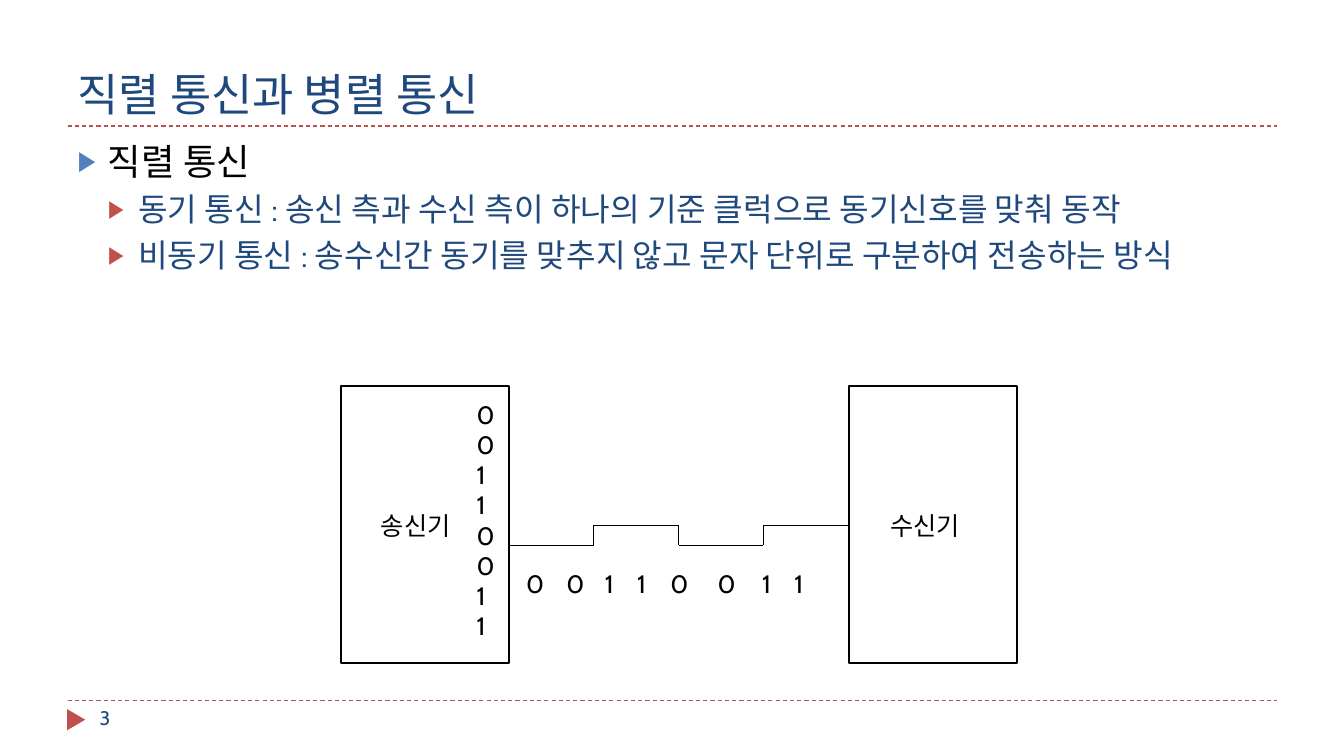
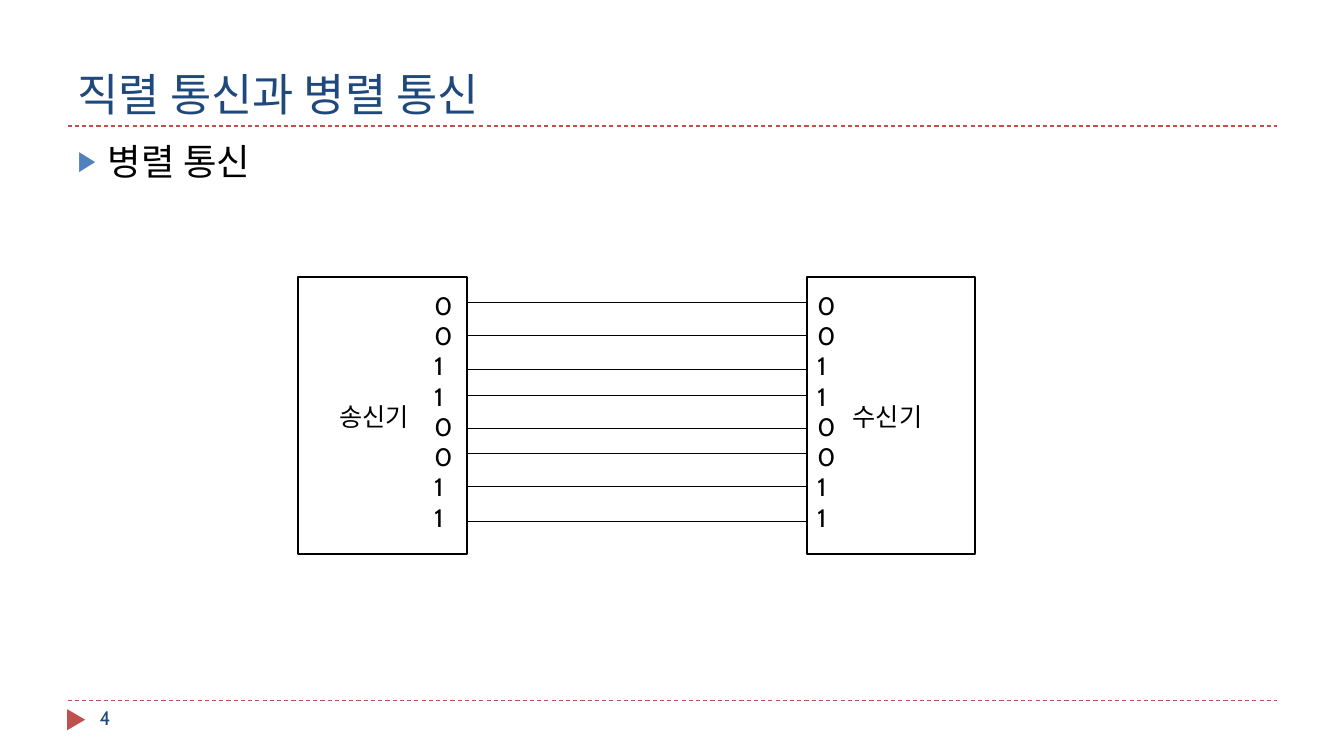
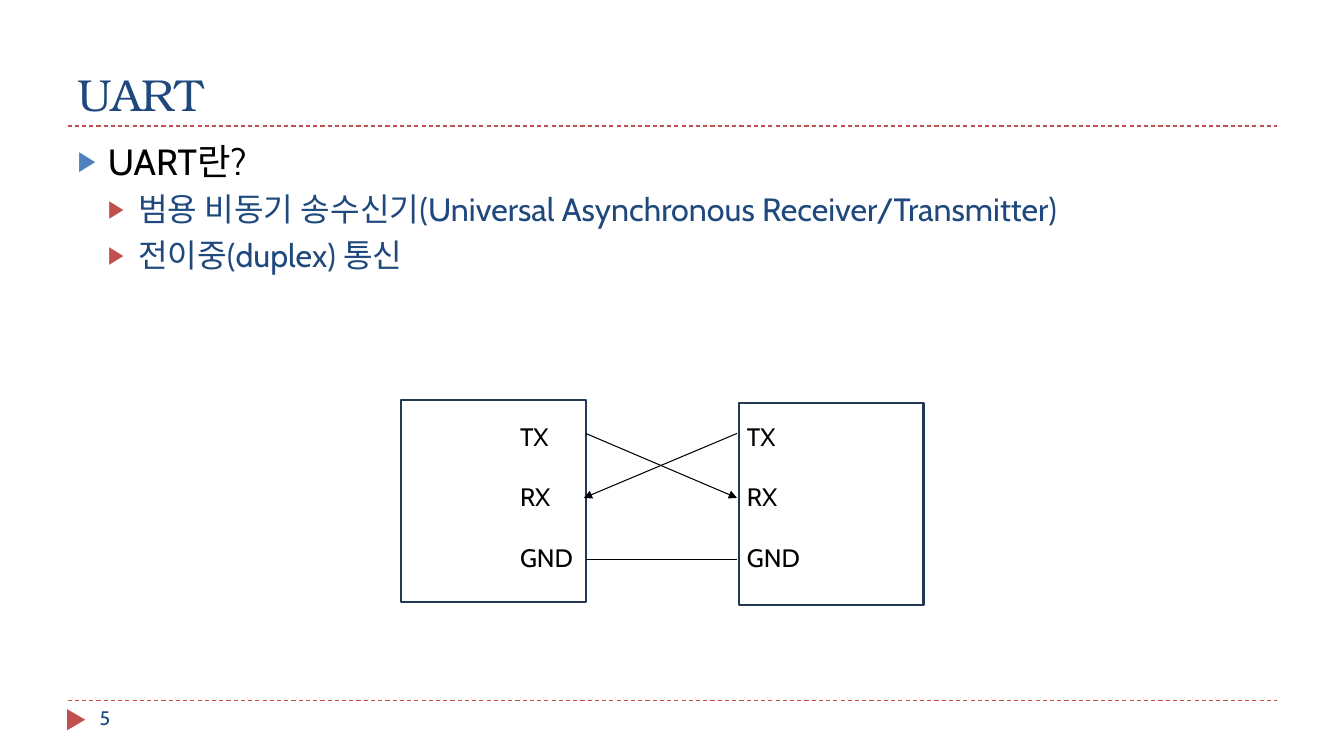
from dataclasses import dataclass
from lxml.etree import SubElement
from pptx import Presentation
from pptx.dml.color import RGBColor
from pptx.enum.dml import MSO_LINE
from pptx.enum.shapes import MSO_CONNECTOR, MSO_SHAPE
from pptx.enum.text import MSO_ANCHOR, MSO_AUTO_SIZE, PP_ALIGN
from pptx.oxml.ns import qn
from pptx.util import Inches, Pt


@dataclass(frozen=True)
class Theme:
    navy: str = "1F497D"
    blue: str = "4F81BD"
    red: str = "C0504D"
    ink: str = "000000"
    frame: str = "233953"
    title_font: str = "TeX Gyre Bonum"
    body_font: str = "Cabin"
    title_size: int = 32
    head_size: int = 26
    item_size: int = 23
    label_size: int = 18
    number_size: int = 14
    thin: float = 0.75
    thick: float = 1.5


T = Theme()
BITS = "00110011"
PINS = ("TX", "RX", "GND")
BOX_W, BOX_H = 1.67, 2.75


def add_run(p, text, size, color, font=T.body_font):
    r = p.add_run()
    r.text = text
    r.font.size = Pt(size)
    r.font.name = font
    r.font.color.rgb = RGBColor.from_string(color)


def add_text(s, x, y, w, h, lines, size=T.label_size, color=T.ink, gap=0):
    tf = s.shapes.add_textbox(Inches(x), Inches(y), Inches(w), Inches(h)).text_frame
    tf.word_wrap = True
    for i, line in enumerate(lines):
        p = tf.paragraphs[0] if i == 0 else tf.add_paragraph()
        if i and gap:
            p.space_before = Pt(gap)
        add_run(p, line, size, color)
    return tf


def add_line(s, x1, y1, x2, y2, color=T.ink, dash=None, arrow=False):
    c = s.shapes.add_connector(MSO_CONNECTOR.STRAIGHT, Inches(x1), Inches(y1), Inches(x2), Inches(y2))
    c.line.color.rgb = RGBColor.from_string(color)
    c.line.width = Pt(T.thin)
    if dash:
        c.line.dash_style = dash
    spPr = c.element.spPr
    if arrow:
        SubElement(spPr.find(qn("a:ln")), qn("a:tailEnd"), type="triangle")
    SubElement(spPr, qn("a:effectLst"))
    return c


def add_frame(s, x, y, w, h, color=T.ink):
    sp = s.shapes.add_shape(MSO_SHAPE.RECTANGLE, Inches(x), Inches(y), Inches(w), Inches(h))
    sp.shadow.inherit = False
    sp.fill.background()
    sp.line.color.rgb = RGBColor.from_string(color)
    sp.line.width = Pt(T.thick)


def place(sp, x, y, w, h):
    sp.left, sp.top, sp.width, sp.height = Inches(x), Inches(y), Inches(w), Inches(h)


def style_layout(layout, s):
    place(layout.placeholders[0], 0.67, 0.17, 12, 1.08)
    place(layout.placeholders[1], 0.67, 1.33, 12, 5.4)
    rules = [add_line(s, 0.67, y, 12.67, y, T.red, MSO_LINE.DASH) for y in (6.95, 1.25)]
    mark = s.shapes.add_shape(MSO_SHAPE.ISOSCELES_TRIANGLE, Inches(0.65), Inches(7.05), Inches(0.21), Inches(0.18))
    mark.rotation = 90
    mark.shadow.inherit = False
    mark.fill.solid()
    mark.fill.fore_color.rgb = RGBColor.from_string(T.red)
    mark.line.fill.background()
    for sp in (*rules, mark):
        layout.shapes.element.append(sp.element)


def add_bullet(p, level):
    p.level = level
    p.space_before = Pt(5 if level else 6)
    pPr = p._p.get_or_add_pPr()
    pPr.set("marL", str(Inches(0.3 * (level + 1))))
    pPr.set("indent", str(Inches(-0.3)))
    SubElement(SubElement(pPr, qn("a:buClr")), qn("a:srgbClr"), val=T.red if level else T.blue)
    SubElement(pPr, qn("a:buSzPct"), val="76000")
    SubElement(pPr, qn("a:buChar"), char="▶")


def fill_slide(s, number, title, head, items=()):
    tf = s.shapes.title.text_frame
    tf.vertical_anchor = MSO_ANCHOR.BOTTOM
    tf.auto_size = MSO_AUTO_SIZE.NONE
    tf.paragraphs[0].alignment = PP_ALIGN.LEFT
    add_run(tf.paragraphs[0], title, T.title_size, T.navy, T.title_font)
    tf = s.placeholders[1].text_frame
    tf.auto_size = MSO_AUTO_SIZE.NONE
    add_bullet(tf.paragraphs[0], 0)
    add_run(tf.paragraphs[0], head, T.head_size, T.ink)
    for item in items:
        p = tf.add_paragraph()
        add_bullet(p, 1)
        add_run(p, item, T.item_size, T.navy)
    add_text(s, 0.89, 6.95, 2.89, 0.4, [str(number)], T.number_size, T.navy)


def add_device(s, x, y, name, name_dx, bits_dx=None):
    add_frame(s, x, y, BOX_W, BOX_H)
    if bits_dx is not None:
        add_text(s, x + bits_dx, y + 0.08, 0.33, 2.52, BITS)
    add_text(s, x + name_dx, y + 1.18, 1.04, 0.4, [name])


def add_signal(s, x, y, step=0.42, rise=0.2):
    levels = [y - rise * int(bit) for bit in BITS]
    for i, level in enumerate(levels):
        left = x + i * step
        if i and level != levels[i - 1]:
            add_line(s, left, levels[i - 1], left, level)
        add_line(s, left, level, left + step, level)
    tf = add_text(s, x + 0.07, y + 0.18, 3.69, 0.4, ["\t".join(BITS)])
    tabs = SubElement(tf.paragraphs[0]._p.get_or_add_pPr(), qn("a:tabLst"))
    for stop in (0.4, 0.78, 1.1, 1.43, 1.9, 2.34, 2.66):
        SubElement(tabs, qn("a:tab"), pos=str(Inches(stop)), algn="l")


def serial_diagram(s, x, y):
    add_device(s, x, y, "송신기", 0.3, 1.25)
    add_signal(s, x + BOX_W, y + 1.58)
    add_device(s, x + 5.04, y, "수신기", 0.31)


def parallel_diagram(s, x, y):
    add_device(s, x, y, "송신기", 0.31, 1.25)
    add_device(s, x + 5.04, y, "수신기", 0.36, 0.01)
    for dy in (0.25, 0.58, 0.92, 1.17, 1.5, 1.75, 2.08, 2.42):
        add_line(s, x + BOX_W, y + dy, x + 5.04, y + dy)


def uart_diagram(s, x, y):
    w, h, right = 1.83, 2, 3.33
    tx, rx, gnd = y + 0.33, y + 0.97, y + 1.58
    add_frame(s, x, y, w, h, T.frame)
    add_frame(s, x + right + 0.02, y + 0.03, w, h, T.frame)
    for dx in (1.08, right):
        add_text(s, x + dx, y + 0.16, 0.83, 1.62, PINS, gap=21.6)
    add_line(s, x + w, tx, x + right, rx, arrow=True)
    add_line(s, x + right, tx, x + w - 0.02, rx, arrow=True)
    add_line(s, x + w, gnd, x + right, gnd)


def main():
    prs = Presentation()
    prs.slide_width, prs.slide_height = Inches(13.33), Inches(7.5)
    layout = prs.slide_layouts[1]
    serial, parallel, uart = [prs.slides.add_slide(layout) for _ in range(3)]
    style_layout(layout, serial)

    fill_slide(serial, 3, "직렬 통신과 병렬 통신", "직렬 통신", (
        "동기 통신 : 송신 측과 수신 측이 하나의 기준 클럭으로 동기신호를 맞춰 동작",
        "비동기 통신 : 송수신간 동기를 맞추지 않고 문자 단위로 구분하여 전송하는 방식"))
    serial_diagram(serial, 3.38, 3.83)

    fill_slide(parallel, 4, "직렬 통신과 병렬 통신", "병렬 통신")
    parallel_diagram(parallel, 2.96, 2.75)

    fill_slide(uart, 5, "UART", "UART란?", (
        "범용 비동기 송수신기(Universal Asynchronous Receiver/Transmitter)",
        "전이중(duplex) 통신"))
    uart_diagram(uart, 3.98, 3.97)

    prs.save("out.pptx")


if __name__ == "__main__":
    main()
